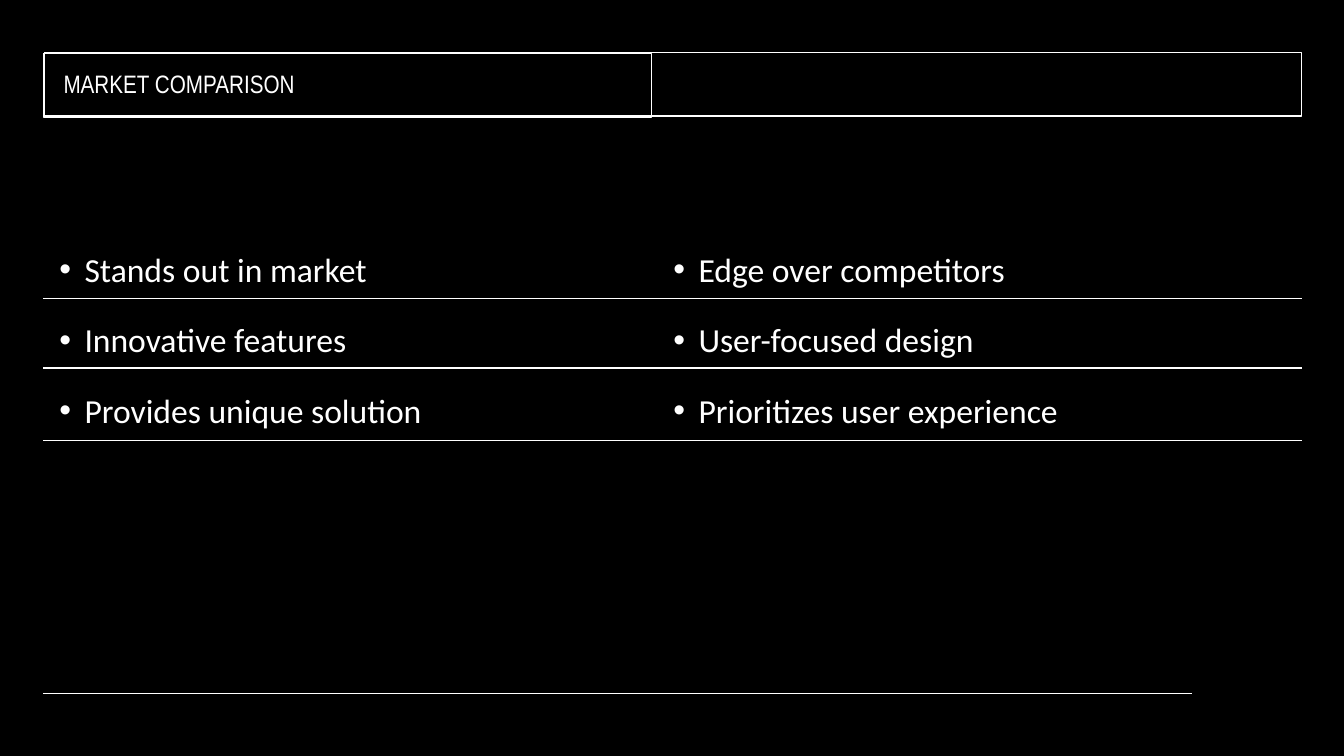
from lxml.etree import SubElement
from pptx import Presentation
from pptx.dml.color import RGBColor
from pptx.enum.shapes import MSO_CONNECTOR, MSO_SHAPE
from pptx.enum.text import MSO_ANCHOR, MSO_AUTO_SIZE, PP_ALIGN
from pptx.oxml.ns import qn
from pptx.util import Inches, Pt

BLACK = RGBColor(0x00, 0x00, 0x00)
WHITE = RGBColor(0xFF, 0xFF, 0xFF)

LEFT, RIGHT = 0.43, 12.91
ROW_RULES = (2.96, 3.65, 4.37)
COLUMNS = (
    (0.49, 5.97, ("Stands out in market", "Innovative features",
                  "Provides unique solution")),
    (6.58, 6.34, ("Edge over competitors", "User-focused design",
                  "Prioritizes user experience")),
)


def outline(shape):
    shape.line.color.rgb = WHITE
    shape.line.width = Pt(1)


def add_rule(slide, y, right=RIGHT):
    rule = slide.shapes.add_connector(
        MSO_CONNECTOR.STRAIGHT, Inches(LEFT), Inches(y), Inches(right), Inches(y))
    outline(rule)
    SubElement(rule._element.spPr, qn("a:effectLst"))


def add_bullet(paragraph):
    properties = paragraph._p.get_or_add_pPr()
    properties.set("marL", str(Inches(0.25)))
    properties.set("indent", str(Inches(-0.25)))
    color = SubElement(properties, qn("a:buClr"))
    SubElement(color, qn("a:srgbClr"), val=str(WHITE))
    SubElement(properties, qn("a:buFont"), typeface="Arial")
    SubElement(properties, qn("a:buChar"), char="•")


def write_text(frame, lines, *, font, size, spacing, before=0, left=0.1, top=0.05,
               anchor=MSO_ANCHOR.TOP, bulleted=False):
    frame.word_wrap = True
    frame.auto_size = MSO_AUTO_SIZE.NONE
    frame.vertical_anchor = anchor
    frame.margin_left, frame.margin_right = Inches(left), Inches(0.1)
    frame.margin_top, frame.margin_bottom = Inches(top), Inches(0.05)
    for index, line in enumerate(lines):
        paragraph = frame.add_paragraph() if index else frame.paragraphs[0]
        paragraph.alignment = PP_ALIGN.LEFT
        paragraph.line_spacing = spacing
        paragraph.space_before = Pt(before)
        if bulleted:
            add_bullet(paragraph)
        run = paragraph.add_run()
        run.text = line
        run.font.name = font
        run.font.size = Pt(size)
        run.font.color.rgb = WHITE


def add_header_frame(slide):
    header = slide.shapes.add_shape(
        MSO_SHAPE.RECTANGLE, Inches(0.44), Inches(0.52), Inches(12.47), Inches(0.63))
    header.shadow.inherit = False
    header.fill.background()
    outline(header)


def set_title(slide, text):
    title = slide.shapes.title
    title.left, title.top = Inches(LEFT), Inches(0.53)
    title.width, title.height = Inches(6.03), Inches(0.63)
    outline(title)
    write_text(title.text_frame, [text], font="Arial Narrow", size=18,
               spacing=0.9, left=0.2, anchor=MSO_ANCHOR.MIDDLE)


def add_bullet_column(slide, left, width, points):
    column = slide.shapes.add_textbox(
        Inches(left), Inches(2.27), Inches(width), Inches(3.72))
    write_text(column.text_frame, points, font="Calibri", size=24,
               spacing=1.5, before=7, top=0, bulleted=True)


def main():
    presentation = Presentation()
    presentation.slide_width = Inches(13.33)
    presentation.slide_height = Inches(7.5)
    slide = presentation.slides.add_slide(presentation.slide_layouts[5])
    slide.background.fill.solid()
    slide.background.fill.fore_color.rgb = BLACK

    add_rule(slide, 6.88, right=11.82)
    add_header_frame(slide)
    set_title(slide, "MARKET COMPARISON")
    for left, width, points in COLUMNS:
        add_bullet_column(slide, left, width, points)
    for y in ROW_RULES:
        add_rule(slide, y)

    presentation.save("out.pptx")


if __name__ == "__main__":
    main()
